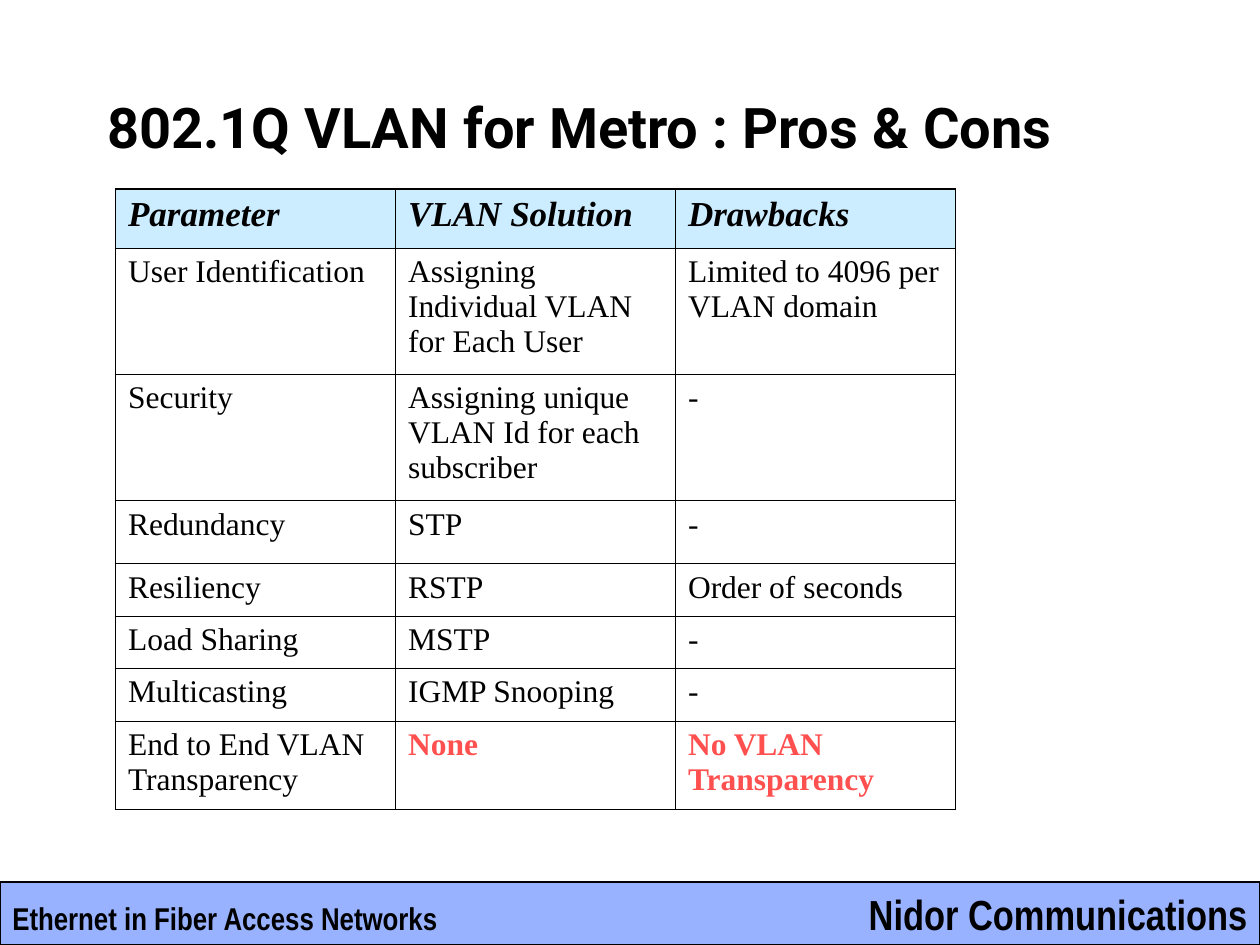
from lxml.etree import SubElement as Sub
from pptx import Presentation
from pptx.dml.color import RGBColor as Rgb
from pptx.enum.shapes import MSO_SHAPE as Shape
from pptx.enum.text import MSO_ANCHOR as Anchor, MSO_AUTO_SIZE as Auto, PP_ALIGN as Align
from pptx.oxml.ns import qn
from pptx.util import Pt

BLACK, RED, SKY, BLUE = "000000", "FF5050", "CCECFF", "3366FF"
ROWS = [
    ("Parameter", "VLAN Solution", "Drawbacks"),
    ("User Identification", "Assigning Individual VLAN for Each User",
     "Limited to 4096 per VLAN domain"),
    ("Security", "Assigning unique VLAN Id for each subscriber", "-"),
    ("Redundancy", "STP", "-"),
    ("Resiliency", "RSTP", "Order of seconds"),
    ("Load Sharing", "MSTP", "-"),
    ("Multicasting", "IGMP Snooping", "-"),
    ("End to End VLAN Transparency", "None", "No VLAN Transparency"),
]
HEIGHTS = [34, 72, 72, 36, 30, 30, 30, 50.5]
WIDTH = 160
THIN, THICK = 0.45, 1.08


def paint(target, color):
    target.rgb = Rgb.from_string(color)


def style(para, name, size, color=BLACK, bold=True, italic=False):
    font = para.font
    font.name, font.size = name, Pt(size)
    font.bold, font.italic = bold, italic
    paint(font.color, color)


def add_title(slide, text):
    title = slide.shapes.title
    title.left, title.top, title.width, title.height = Pt(54), Pt(48), Pt(612), Pt(48)
    frame = title.text_frame
    frame.text = text
    frame.auto_size = Auto.NONE
    frame.vertical_anchor = Anchor.MIDDLE
    para = frame.paragraphs[0]
    para.alignment = Align.LEFT
    style(para, "Roboto", 32)


def add_bar(slide):
    bar = slide.shapes.add_shape(Shape.RECTANGLE, Pt(0), Pt(504), Pt(720), Pt(36))
    bar.shadow.inherit = False
    bar.fill.solid()
    paint(bar.fill.fore_color, BLUE)
    tint = bar.fill._xPr.find(qn("a:solidFill"))[0]
    Sub(tint, qn("a:alpha"), val="50000")
    paint(bar.line.color, BLACK)
    bar.line.width = Pt(0.75)


def add_label(slide, text, left, top, width, height, size, align):
    box = slide.shapes.add_textbox(Pt(left), Pt(top), Pt(width), Pt(height))
    frame = box.text_frame
    frame.text = text
    frame.word_wrap = False
    para = frame.paragraphs[0]
    para.alignment = align
    style(para, "Arial Narrow", size)


def add_edge(cell, side, width):
    line = Sub(cell._tc.get_or_add_tcPr(), qn("a:ln" + side), w=str(Pt(width)))
    fill = Sub(line, qn("a:solidFill"))
    Sub(fill, qn("a:srgbClr"), val=BLACK)


def fill_cell(cell, row, col, text):
    end = len(ROWS) - 1
    outer = {"L": col == 0, "R": col == 2, "T": row == 0, "B": row == end}
    for side, rim in outer.items():
        add_edge(cell, side, THICK if rim else THIN)
    head = row == 0
    if head:
        cell.fill.solid()
        paint(cell.fill.fore_color, SKY)
    else:
        cell.fill.background()
    cell.text = text
    alert = row == end and col > 0
    style(cell.text_frame.paragraphs[0], "Times New Roman", 20 if head else 18,
          RED if alert else BLACK, head or alert, head)


def add_grid(slide):
    count = len(ROWS[0])
    table = slide.shapes.add_table(len(ROWS), count, Pt(66), Pt(108),
                                   Pt(WIDTH * count), Pt(sum(HEIGHTS))).table
    table.first_row = table.horz_banding = False
    for col in table.columns:
        col.width = Pt(WIDTH)
    for row, (height, texts) in enumerate(zip(HEIGHTS, ROWS)):
        table.rows[row].height = Pt(height)
        for col, text in enumerate(texts):
            fill_cell(table.cell(row, col), row, col, text)


def main():
    deck = Presentation()
    deck.slide_width, deck.slide_height = Pt(720), Pt(540)
    slide = deck.slides.add_slide(deck.slide_layouts[5])
    add_bar(slide)
    add_label(slide, "Nidor Communications", 484.5, 504, 235.5, 36, 24, Align.RIGHT)
    add_label(slide, "Ethernet in Fiber Access Networks", 0, 510, 258, 29, 18, Align.LEFT)
    add_title(slide, "802.1Q VLAN for Metro : Pros & Cons")
    add_grid(slide)
    deck.save("out.pptx")


if __name__ == "__main__":
    main()
